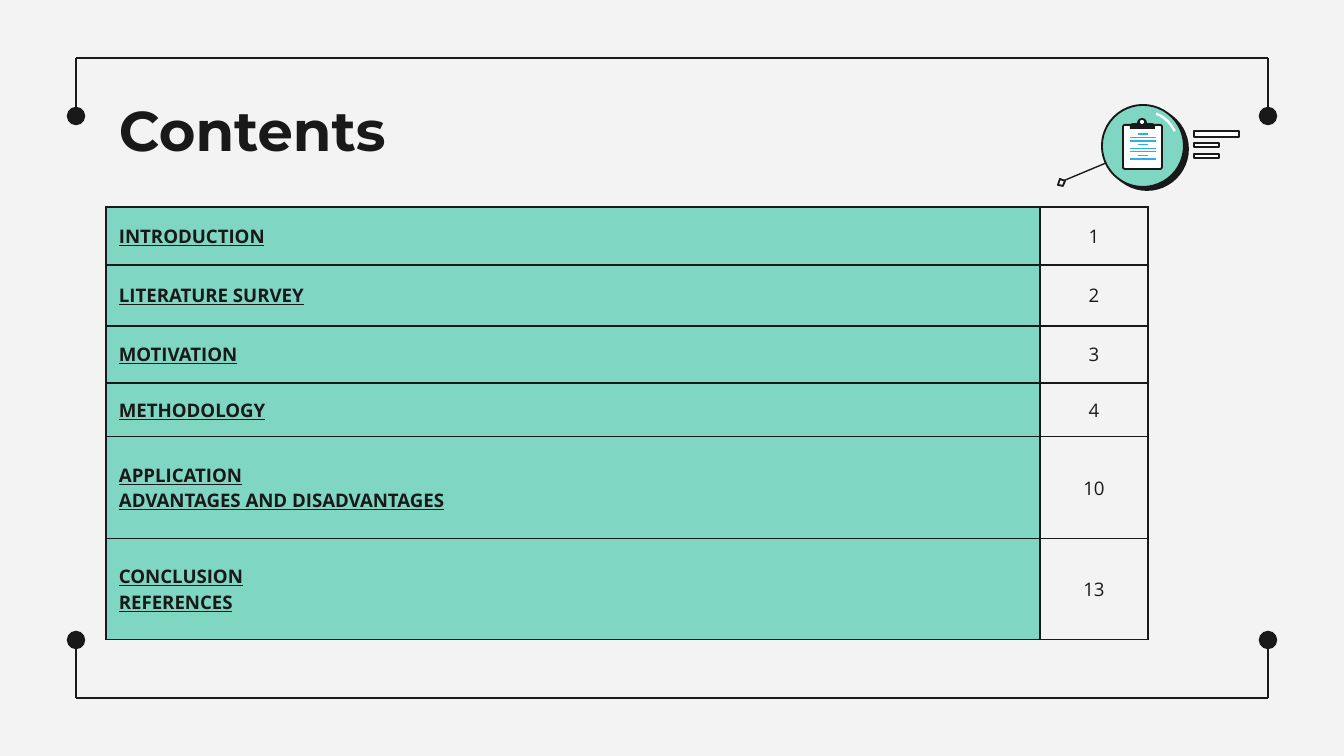
from lxml import etree
from pptx import Presentation
from pptx.dml.color import RGBColor
from pptx.enum.shapes import MSO_CONNECTOR, MSO_SHAPE
from pptx.enum.text import MSO_ANCHOR, PP_ALIGN
from pptx.oxml import parse_xml
from pptx.oxml.ns import nsdecls, qn
from pptx.util import Pt

# Content
TITLE = "Contents"
SECTIONS = [  # headings, page, row height
    (["INTRODUCTION"], "1", 58),
    (["LITERATURE SURVEY"], "2", 61),
    (["MOTIVATION"], "3", 57),
    (["METHODOLOGY"], "4", 54),
    (["APPLICATION", "ADVANTAGES AND DISADVANTAGES"], "10", 102),
    (["CONCLUSION", "REFERENCES"], "13", 101),
]
INK, MINT, PAPER, WHITE, BLUE = "191919", "7FD6C3", "F3F3F3", "FFFFFF", "2AAFEB"
WIDTH, HEIGHT = 1344, 756
FRAME_X = (76, 1268)
FRAME_Y = ((58, 116), (698, 640))  # edge and end of its corner lines
TABLE_LEFT, TABLE_TOP = 106, 207
COLUMNS = (934, 108)
CAPTION_BARS = [(131, 46, 6), (143, 26, 4), (154, 26, 4)]  # top, width, height
NOTE_LINES = "nwwnwwnw"  # narrow and wide lines on the clipboard
NOTE_HALF = {"n": 5, "w": 13}


def px(length):
    return round(length * 914400 / 134.4)


def color(hex_text):
    return RGBColor.from_string(hex_text)


prs = Presentation()
prs.slide_width, prs.slide_height = px(WIDTH), px(HEIGHT)
slide = prs.slides.add_slide(prs.slide_layouts[6])
slide.background.fill.solid()
slide.background.fill.fore_color.rgb = color(PAPER)
shapes = slide.shapes


def paint(shape, fill, line=None, weight=1):
    shape.shadow.inherit = False
    if fill:
        shape.fill.solid()
        shape.fill.fore_color.rgb = color(fill)
    else:
        shape.fill.background()
    if line:
        shape.line.color.rgb = color(line)
        shape.line.width = Pt(weight)
    else:
        shape.line.fill.background()
    return shape


def preset(kind, x, y, w, h, fill, line=None, weight=1):
    shape = shapes.add_shape(kind, px(x), px(y), px(w), px(h))
    return paint(shape, fill, line, weight)


def disc(x, y, radius, fill, line=None):
    return preset(MSO_SHAPE.OVAL, x - radius, y - radius, 2 * radius, 2 * radius, fill, line)


def rule(x1, y1, x2, y2, hex_text=INK, dot=False):
    line = shapes.add_connector(MSO_CONNECTOR.STRAIGHT, px(x1), px(y1), px(x2), px(y2))
    line.line.color.rgb = color(hex_text)
    line.line.width = Pt(0.75)
    if dot:
        etree.SubElement(line.line._get_or_add_ln(), qn("a:tailEnd"),
                         type="oval", w="lg", len="lg")
    etree.SubElement(line._element.spPr, qn("a:effectLst"))


def style(paragraph, font, size, bold=False, underline=False):
    for run in paragraph.runs:
        run.font.name, run.font.size = font, Pt(size)
        run.font.bold, run.font.underline = bold, underline
        run.font.color.rgb = color(INK)


# Frame with dotted corners
for edge, end in FRAME_Y:
    rule(FRAME_X[0], edge, FRAME_X[1], edge)
    for x in FRAME_X:
        rule(x, edge, x, end, dot=True)

# Title
title = shapes.add_textbox(px(106), px(83), px(1133), px(85)).text_frame
title.word_wrap = True
title.margin_left = title.margin_right = title.margin_top = title.margin_bottom = px(13)
title.text = TITLE
style(title.paragraphs[0], "Montserrat", 30, bold=True)

# Contents table
table = shapes.add_table(len(SECTIONS), len(COLUMNS), px(TABLE_LEFT), px(TABLE_TOP),
                         px(sum(COLUMNS)), px(sum(s[2] for s in SECTIONS))).table
table.first_row = table.horz_banding = False
for column, width in zip(table.columns, COLUMNS):
    column.width = px(width)


def fill_cell(cell, lines, heading):
    cell.vertical_anchor = MSO_ANCHOR.MIDDLE
    cell.margin_left = cell.margin_right = px(13)
    cell.margin_top = cell.margin_bottom = 0
    cell.text_frame.text = "\n".join(lines)
    for paragraph in cell.text_frame.paragraphs:
        paragraph.alignment = PP_ALIGN.LEFT if heading else PP_ALIGN.CENTER
        style(paragraph, "Open Sans", 10, bold=heading, underline=heading)
    properties = cell._tc.get_or_add_tcPr()
    for side in ("lnL", "lnR", "lnT", "lnB"):
        properties.append(parse_xml(
            f'<a:{side} {nsdecls("a")} w="{Pt(0.75)}"><a:solidFill>'
            f'<a:srgbClr val="{INK}"/></a:solidFill></a:{side}>'))
    if heading:
        cell.fill.solid()
        cell.fill.fore_color.rgb = color(MINT)
    else:
        cell.fill.background()


for index, (headings, page, height) in enumerate(SECTIONS):
    table.rows[index].height = px(height)
    fill_cell(table.cell(index, 0), headings, True)
    fill_cell(table.cell(index, 1), [page], False)

# Caption bars beside the badge
for top, width, height in CAPTION_BARS:
    preset(MSO_SHAPE.RECTANGLE, 1194, top, width - 1, height, WHITE, INK)

# Pointer with a tilted square end
rule(1106, 163, 1063, 181)
corners = [(1060, 179), (1058, 185), (1063, 186), (1065, 181)]
outline = shapes.build_freeform(*map(px, corners[0]))
outline.add_line_segments([(px(x), px(y)) for x, y in corners[1:]], close=True)
paint(outline.convert_to_shape(), WHITE, INK)

# Round badge with its shadow and shine
disc(1147, 149, 41, INK, INK)
disc(1143, 146, 41, MINT, INK)
shine = preset(MSO_SHAPE.ARC, 1108, 111, 70, 70, None, WHITE, 1.25)
for index, degrees in enumerate((292, 335)):
    shine.adjustments[index] = degrees * 0.6

# Clipboard
board = preset(MSO_SHAPE.ROUNDED_RECTANGLE, 1123, 125, 39, 44, WHITE, INK)
board.adjustments[0] = 0.05
clip = preset(MSO_SHAPE.ROUND_2_SAME_RECTANGLE, 1130, 123, 25, 6, INK)
clip.adjustments[0] = 0.5
disc(1142, 123, 5, INK)
disc(1142, 122, 2, WHITE)
for index, kind in enumerate(NOTE_LINES):
    y = 134 + index * 25 / 7
    rule(1143 - NOTE_HALF[kind], y, 1143 + NOTE_HALF[kind], y, BLUE)

prs.save("out.pptx")
